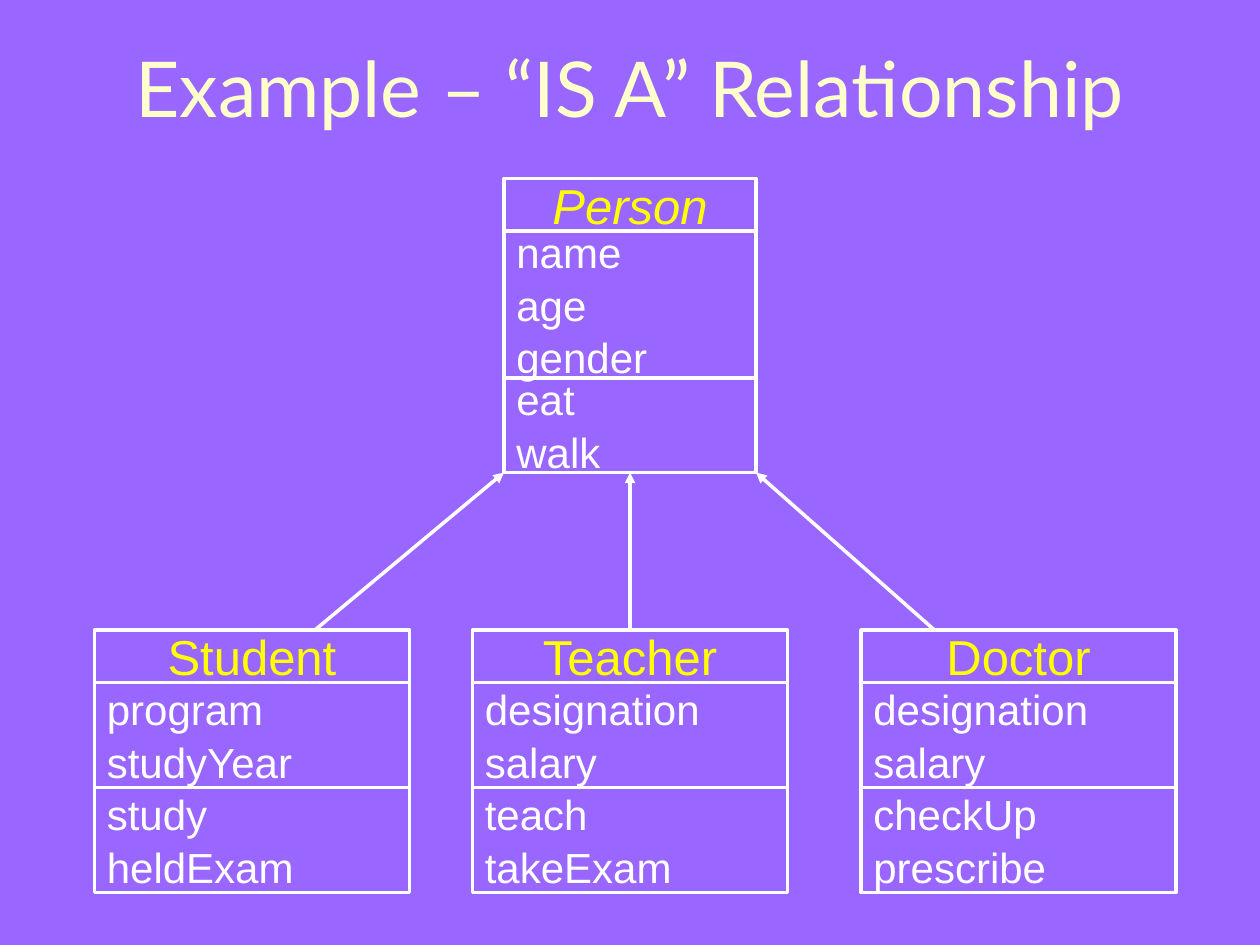
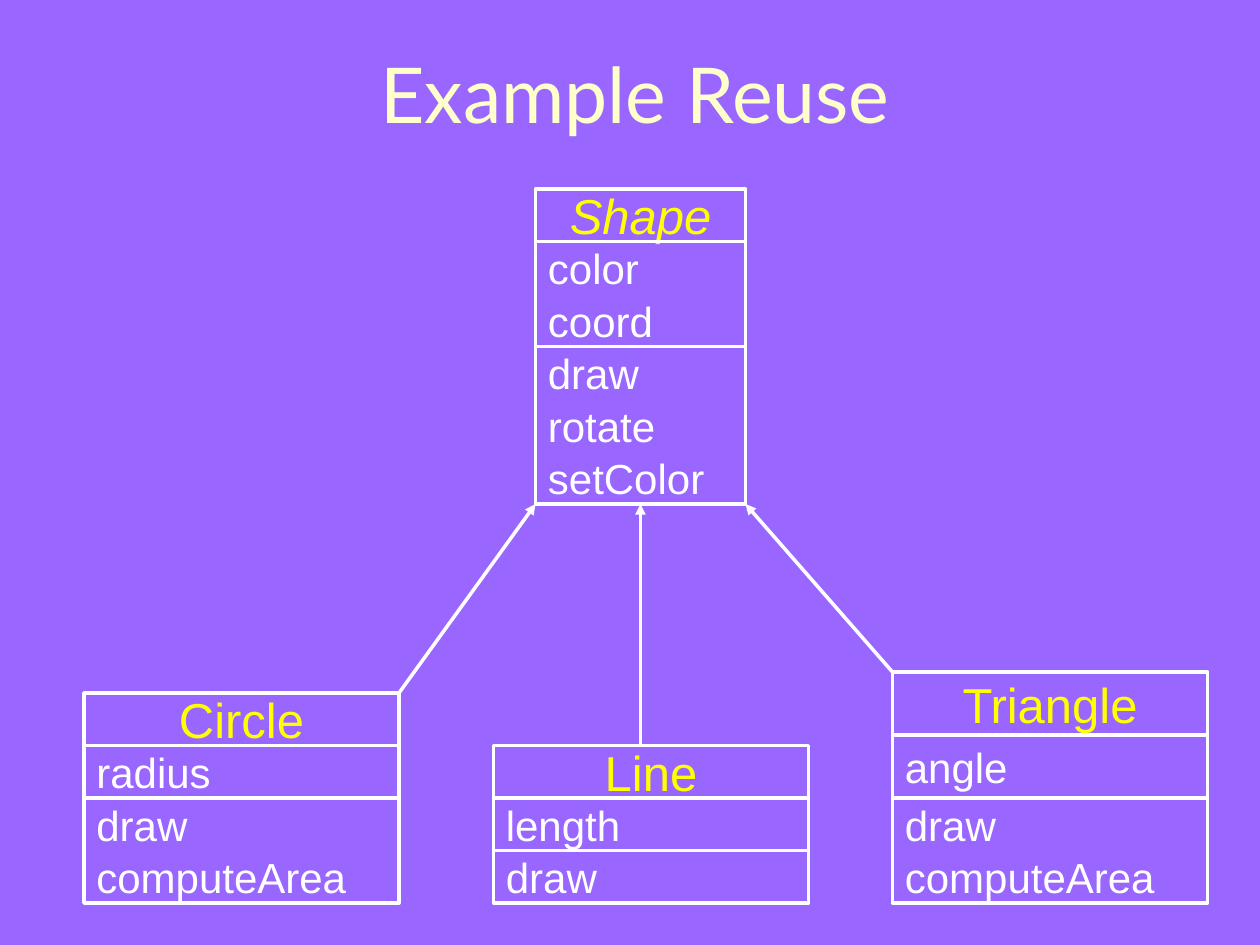
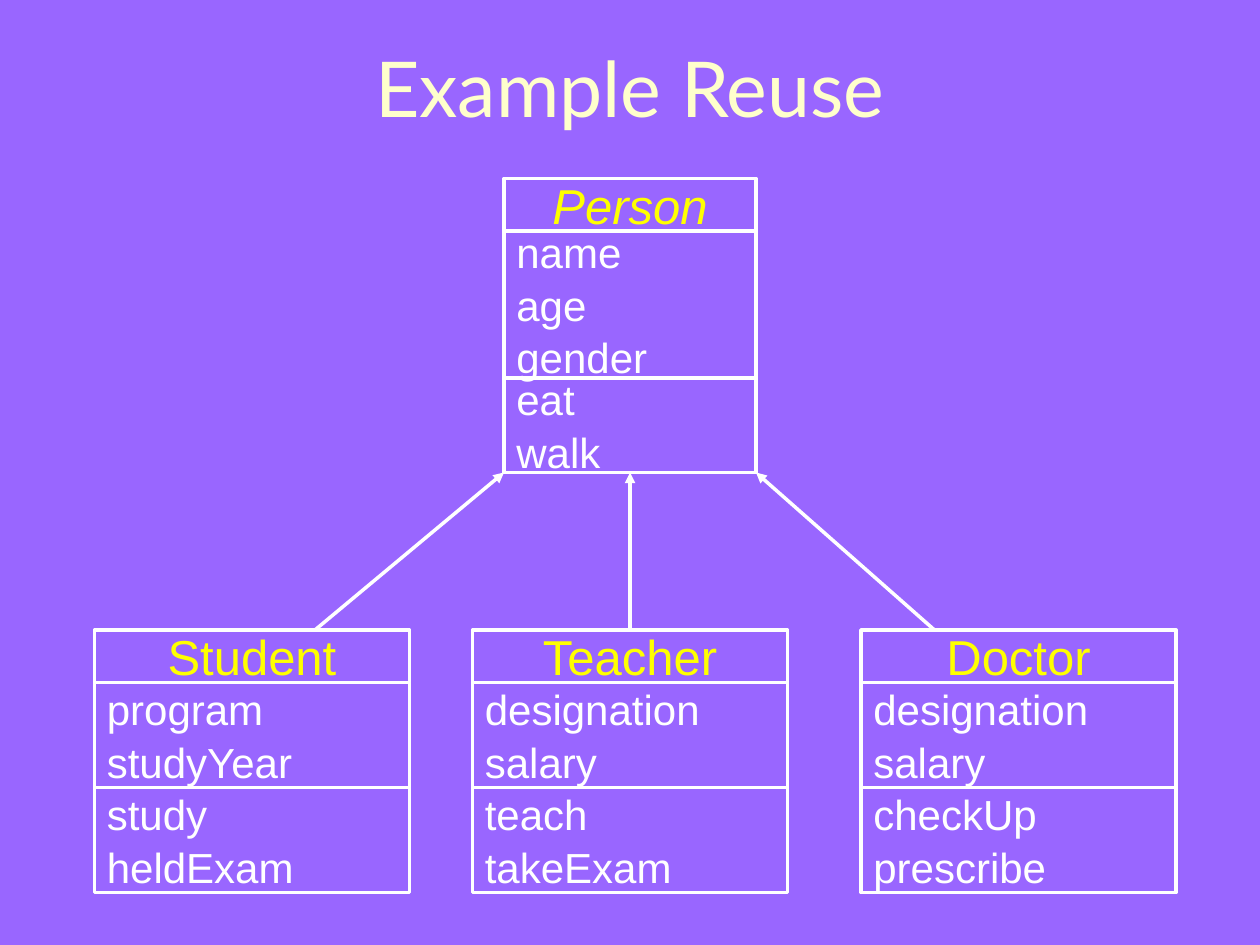
from pptx import Presentation
from pptx.dml.color import RGBColor
from pptx.enum.shapes import MSO_CONNECTOR, MSO_SHAPE
from pptx.enum.text import MSO_ANCHOR as ANCHOR, PP_ALIGN as ALIGN
from pptx.oxml.ns import qn
from pptx.util import Pt
from lxml.etree import SubElement

PURPLE = RGBColor(0x99, 0x66, 0xFF)
CREAM = RGBColor(0xFF, 0xFF, 0xCC)
YELLOW = RGBColor(0xFF, 0xFF, 0x00)
WHITE = RGBColor(0xFF, 0xFF, 0xFF)
TITLE_FONT, BODY_FONT = "Lato", "Arial"
LINE_WIDTH = Pt(2)
CHILD_WIDTH = 180
ROW = 30


def add_text(tf, lines, font, size, color, align, italic=False):
    tf.vertical_anchor = ANCHOR.MIDDLE
    for i, line in enumerate(lines):
        p = tf.paragraphs[0] if i == 0 else tf.add_paragraph()
        p.alignment = align
        if i:
            p.space_before = Pt(1.25)
        r = p.add_run()
        r.text = line
        r.font.name = font
        r.font.size = Pt(size)
        r.font.color.rgb = color
        r.font.italic = italic


def add_title(s, text, left, top, width):
    tf = s.shapes.add_textbox(Pt(left), Pt(top), Pt(width), Pt(62.6)).text_frame
    tf.word_wrap = True
    add_text(tf, [text], TITLE_FONT, 44, CREAM, ALIGN.CENTER)


def add_compartment(s, left, top, width, height):
    sp = s.shapes.add_shape(MSO_SHAPE.RECTANGLE, Pt(left), Pt(top), Pt(width), Pt(height))
    sp.shadow.inherit = False
    sp.fill.background()
    sp.line.color.rgb = WHITE
    sp.line.width = LINE_WIDTH
    sp.text_frame.word_wrap = False
    return sp.text_frame


def add_class(s, name, attributes, methods, left, top, heights,
              width=CHILD_WIDTH, abstract=False):
    """Stack the name, attribute and method compartments of a UML class."""
    name_height, attribute_height, method_height = heights
    tf = add_compartment(s, left, top, width, name_height)
    add_text(tf, [name], BODY_FONT, 28, YELLOW, ALIGN.CENTER, abstract)
    top += name_height
    for members, height in ((attributes, attribute_height), (methods, method_height)):
        tf = add_compartment(s, left, top, width, height)
        add_text(tf, members, BODY_FONT, 24, WHITE, ALIGN.LEFT)
        top += height


def add_arrow(s, start, end):
    c = s.shapes.add_connector(MSO_CONNECTOR.STRAIGHT, *map(Pt, start + end))
    c.line.color.rgb = WHITE
    c.line.width = LINE_WIDTH
    SubElement(c.line._get_or_add_ln(), qn("a:tailEnd"), type="triangle")
    SubElement(c._element.spPr, qn("a:effectLst"))


def add_slide(prs):
    return prs.slides.add_slide(prs.slide_layouts[6])


def add_person_slide(prs, title):
    s = add_slide(prs)
    add_title(s, title, 24, 18, 672)
    add_class(s, "Person", ["name", "age", "gender"], ["eat", "walk"],
              288, 102, (ROW, 84, 54), width=144, abstract=True)
    children = [
        ("Student", ["program", "studyYear"], ["study", "heldExam"], 54),
        ("Teacher", ["designation", "salary"], ["teach", "takeExam"], 270),
        ("Doctor", ["designation", "salary"], ["checkUp", "prescribe"], 492),
    ]
    for name, attributes, methods, left in children:
        add_class(s, name, attributes, methods, left, 360, (ROW, 2 * ROW, 2 * ROW))
    for child_x, parent_x in ((180, 288), (360, 360), (534, 432)):
        add_arrow(s, (child_x, 360), (parent_x, 270))


def add_shape_slide(prs, title):
    s = add_slide(prs)
    add_title(s, title, 36, 21.6, 654)
    add_class(s, "Shape", ["color", "coord"], ["draw", "rotate", "setColor"],
              306, 108, (ROW, 2 * ROW, 3 * ROW), width=120, abstract=True)
    bottom = 516
    children = [
        ("Circle", ["radius"], ["draw", "computeArea"], 48, (ROW, ROW, 2 * ROW), 228, 306),
        ("Line", ["length"], ["draw"], 282, (ROW, ROW, ROW), 366, 366),
        ("Triangle", ["angle"], ["draw", "computeArea"], 510, (36, 36, 2 * ROW), 510, 426),
    ]
    for name, attributes, methods, left, heights, child_x, parent_x in children:
        top = bottom - sum(heights)
        add_class(s, name, attributes, methods, left, top, heights)
        add_arrow(s, (child_x, top), (parent_x, 288))


def main():
    prs = Presentation()
    prs.slide_width, prs.slide_height = Pt(720), Pt(540)
    fill = prs.slide_master.background.fill
    fill.solid()
    fill.fore_color.rgb = PURPLE
    add_person_slide(prs, "Example – “IS A” Relationship")
    add_shape_slide(prs, "Example Reuse")
    add_person_slide(prs, "Example Reuse")
    prs.save("out.pptx")


if __name__ == "__main__":
    main()
